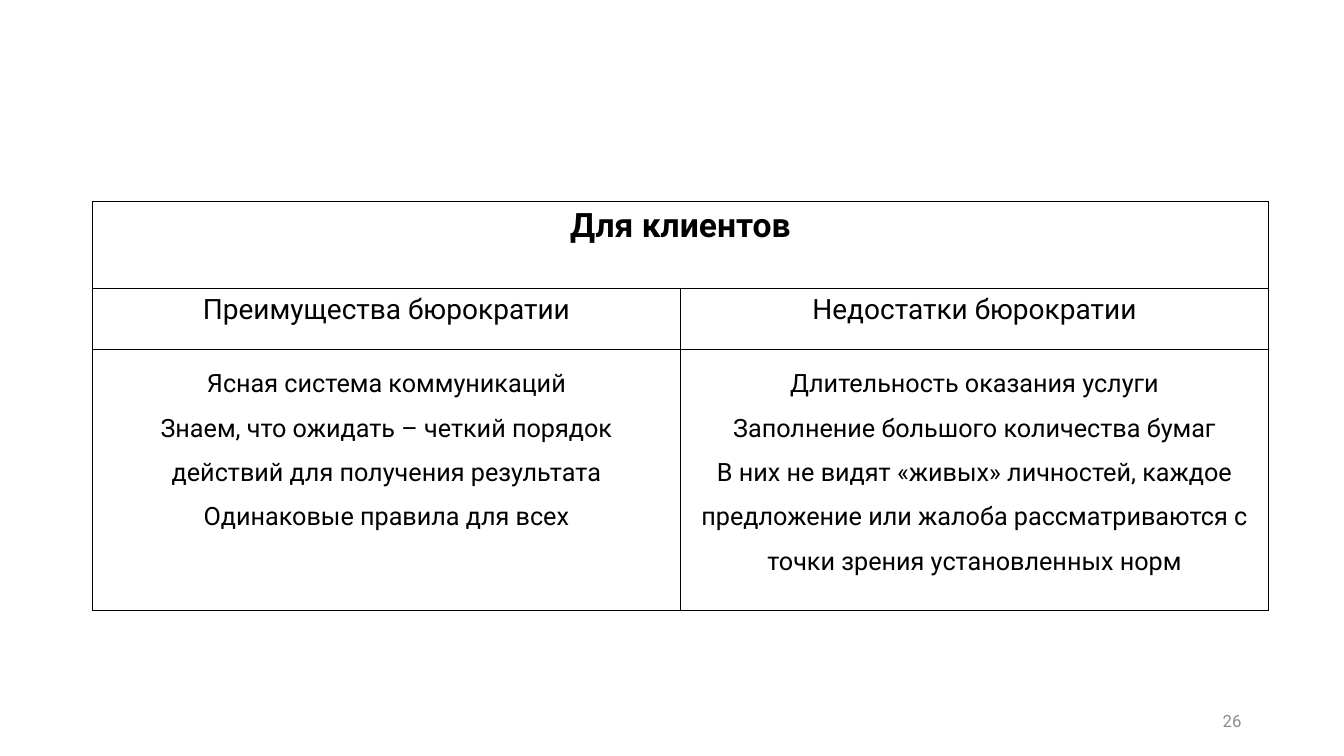
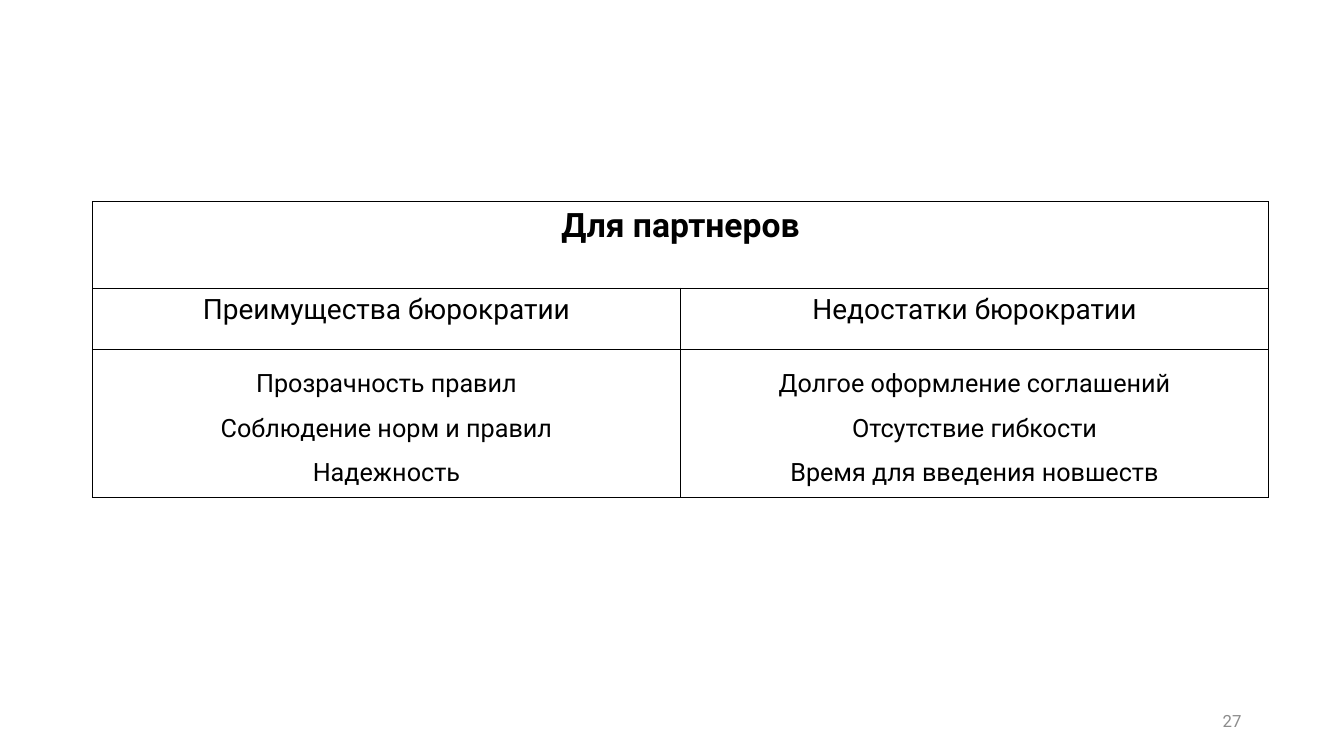
from lxml.etree import SubElement
from pptx import Presentation
from pptx.dml.color import RGBColor
from pptx.enum.text import MSO_ANCHOR, PP_ALIGN
from pptx.oxml.ns import qn
from pptx.util import Cm, Pt

COLORS = {"text": "000000", "border": "000000", "number": "8C8C8C"}
FONT = "Roboto"
HEADERS = ("Преимущества бюрократии", "Недостатки бюрократии")
SLIDES = [
    {
        "number": "26",
        "title": "Для клиентов",
        "body_height": 6.58,
        "pros": [
            "Ясная система коммуникаций",
            "Знаем, что ожидать – четкий порядок действий для получения результата",
            "Одинаковые правила для всех",
        ],
        "cons": [
            "Длительность оказания услуги",
            "Заполнение большого количества бумаг",
            "В них не видят «живых» личностей, каждое предложение или жалоба "
            "рассматриваются с точки зрения установленных норм",
        ],
    },
    {
        "number": "27",
        "title": "Для партнеров",
        "body_height": 3.73,
        "pros": ["Прозрачность правил", "Соблюдение норм и правил", "Надежность"],
        "cons": [
            "Долгое оформление соглашений",
            "Отсутствие гибкости",
            "Время для введения новшеств",
        ],
    },
]
TABLE_LEFT, TABLE_TOP, COL_WIDTH = 2.33, 5.08, 14.82
TITLE_HEIGHT, HEADER_HEIGHT = 2.18, 1.55


def write(tf, lines, size, color="text", bold=False, align=PP_ALIGN.CENTER, spacing=None):
    for i, line in enumerate(lines):
        p = tf.add_paragraph() if i else tf.paragraphs[0]
        p.alignment = align
        if spacing:
            p.line_spacing = spacing
        r = p.add_run()
        r.text = line
        r.font.name = FONT
        r.font.size = Pt(size)
        r.font.bold = bold
        r.font.color.rgb = RGBColor.from_string(COLORS[color])


def style_cell(cell):
    tcPr = cell._tc.get_or_add_tcPr()
    for side in ("a:lnL", "a:lnR", "a:lnT", "a:lnB"):
        ln = SubElement(tcPr, qn(side), w=str(Pt(1)))
        fill = SubElement(ln, qn("a:solidFill"))
        SubElement(fill, qn("a:srgbClr"), val=COLORS["border"])
    cell.fill.background()


def add_comparison(s, data):
    heights = (TITLE_HEIGHT, HEADER_HEIGHT, data["body_height"])
    frame = s.shapes.add_table(
        3, 2, Cm(TABLE_LEFT), Cm(TABLE_TOP), Cm(2 * COL_WIDTH), Cm(sum(heights))
    )
    table = frame.table
    table.first_row = table.horz_banding = False
    for row, height in zip(table.rows, heights):
        row.height = Cm(height)
    for col in table.columns:
        col.width = Cm(COL_WIDTH)
    for cell in table.iter_cells():
        style_cell(cell)
    table.cell(0, 0).merge(table.cell(0, 1))
    write(table.cell(0, 0).text_frame, [data["title"]], 24, bold=True)
    for c, (header, key) in enumerate(zip(HEADERS, ("pros", "cons"))):
        write(table.cell(1, c).text_frame, [header], 20)
        write(table.cell(2, c).text_frame, data[key], 18, spacing=1.5)


def add_number(s, number):
    sp = s.shapes.add_textbox(Cm(23.92), Cm(17.65), Cm(7.62), Cm(1.01))
    tf = sp.text_frame
    tf.word_wrap = True
    tf.vertical_anchor = MSO_ANCHOR.MIDDLE
    write(tf, [number], 12, color="number", align=PP_ALIGN.RIGHT)


def main():
    prs = Presentation()
    prs.slide_width, prs.slide_height = Cm(33.87), Cm(19.05)
    for data in SLIDES:
        s = prs.slides.add_slide(prs.slide_layouts[6])
        add_comparison(s, data)
        add_number(s, data["number"])
    prs.save("out.pptx")


if __name__ == "__main__":
    main()
